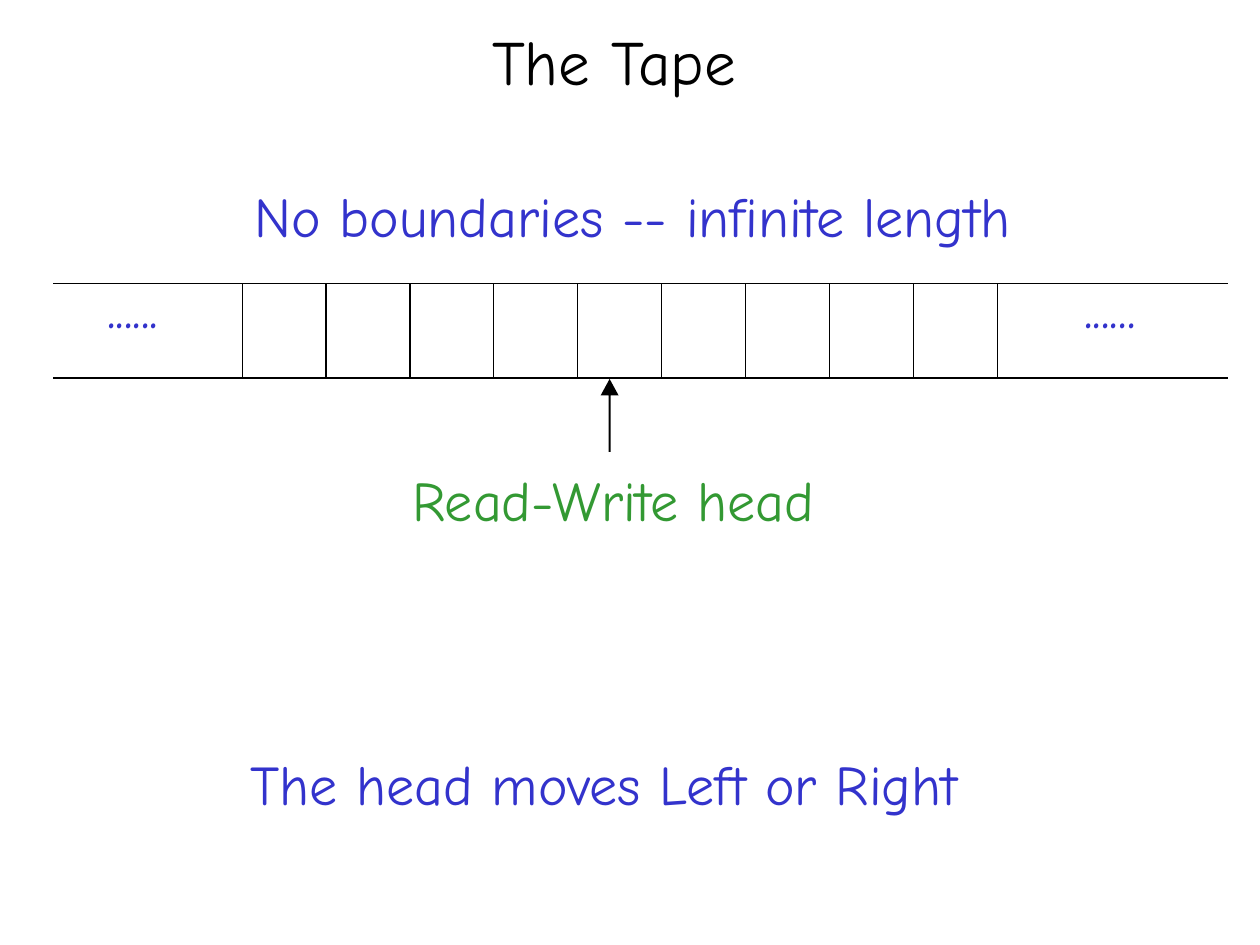
from lxml import etree
from pptx import Presentation
from pptx.dml.color import RGBColor
from pptx.enum.text import MSO_ANCHOR, PP_ALIGN
from pptx.oxml.ns import qn
from pptx.util import Cm, Pt

LEFT, TOP = PP_ALIGN.LEFT, MSO_ANCHOR.TOP
BLACK = RGBColor(0x00, 0x00, 0x00)
BLUE = RGBColor(0x33, 0x33, 0xCC)
GREEN = RGBColor(0x33, 0x99, 0x33)
FONT = "Comic Neue"
DOTS = "......"


def write(frame, text, size=32, color=BLUE, before=0, line=None):
    """Write one left-aligned paragraph into a text frame."""
    para = frame.paragraphs[0]
    para.alignment = LEFT
    para.space_before = Pt(before)
    if line:
        para.line_spacing = Pt(line)
    run = para.add_run()
    run.text = text
    run.font.name = FONT
    run.font.size = Pt(size)
    run.font.color.rgb = color


def inset(part, left=0, top=0):
    """Set the inner margins of a text frame or a table cell."""
    part.margin_left, part.margin_top = Cm(left), Cm(top)
    part.margin_right = part.margin_bottom = 0
    part.vertical_anchor = TOP


def label(slide, x, y, w, h, text, **fmt):
    box = slide.shapes.add_textbox(Cm(x), Cm(y), Cm(w), Cm(h))
    frame = box.text_frame
    frame.word_wrap = True
    inset(frame, 0.03, 0.05)
    write(frame, text, before=1.2, **fmt)


def title(slide, x, y, w, h, text):
    head = slide.shapes.title
    head.left, head.top, head.width, head.height = Cm(x), Cm(y), Cm(w), Cm(h)
    inset(head.text_frame, 9.28, 0.46)
    write(head.text_frame, text, size=36, color=BLACK, before=1.1)


def border(cell, sides):
    """Draw the named sides of a cell and leave the others open."""
    props = cell._tc.get_or_add_tcPr()
    for side in "LRTB":
        edge = etree.SubElement(props, qn("a:ln" + side), w=str(Pt(0.75)))
        if side in sides:
            fill = etree.SubElement(edge, qn("a:solidFill"))
            etree.SubElement(fill, qn("a:srgbClr"), val=str(BLACK))
        else:
            etree.SubElement(edge, qn("a:noFill"))


def tape(slide, x, y, w, h, first=3.81, count=9):
    """Draw equal cells between two ends that stay open."""
    step, last = w / 14, count + 1
    grid = slide.shapes.add_table(
        1, count + 2, Cm(x), Cm(y), Cm(w), Cm(h)).table
    grid.first_row = grid.horz_banding = False
    grid.rows[0].height = Cm(h)
    widths = [first] + [step] * count + [w - first - step * count]
    for i, width in enumerate(widths):
        grid.columns[i].width = Cm(width)
        cell = grid.cell(0, i)
        inset(cell, {0: 1.09, last: 1.75}.get(i, 0))
        border(cell, {0: "RTB", last: "LTB"}.get(i, "LRTB"))
        cell.fill.background()
        if i in (0, last):
            write(cell.text_frame, DOTS, line=33.9)


def arrow(slide, x, y, w, h, neck=0.33, stem=0.04):
    """Draw a filled outline: a head of length neck on a thin stem."""
    mid, half = x + w / 2, stem / 2
    right = [(x + w, y + neck), (mid + half, y + neck), (mid + half, y + h)]
    left = [(2 * mid - px, py) for px, py in reversed(right)]
    pen = slide.shapes.build_freeform(Cm(mid), Cm(y))
    pen.add_line_segments([(Cm(px), Cm(py)) for px, py in right + left])
    shape = pen.convert_to_shape()
    shape.shadow.inherit = False
    shape.fill.solid()
    shape.fill.fore_color.rgb = BLACK
    shape.line.fill.background()


def pointer(slide, x, y, w, h, text):
    """Draw an arrow up to the tape, with its name below."""
    arrow(slide, x + 3.83, y, 0.36, 1.47)
    label(slide, x, y + 1.7, w, h - 1.7, text, color=GREEN)


def main():
    deck = Presentation()
    deck.slide_width, deck.slide_height = Cm(25.4), Cm(19.05)
    slide = deck.slides.add_slide(deck.slide_layouts[5])
    title(slide, 0.64, 0, 24.16, 2.44, "The Tape")
    tape(slide, 1.07, 5.72, 23.7, 1.9)
    pointer(slide, 8.28, 7.64, 9.19, 3.15, "Read-Write head")
    # Remarks above and below the tape
    label(slide, 5.1, 3.61, 16.79, 1.45, "No boundaries -- infinite length")
    label(slide, 5.02, 15.06, 15.85, 1.45, "The head moves Left or Right")
    deck.save("out.pptx")


if __name__ == "__main__":
    main()
